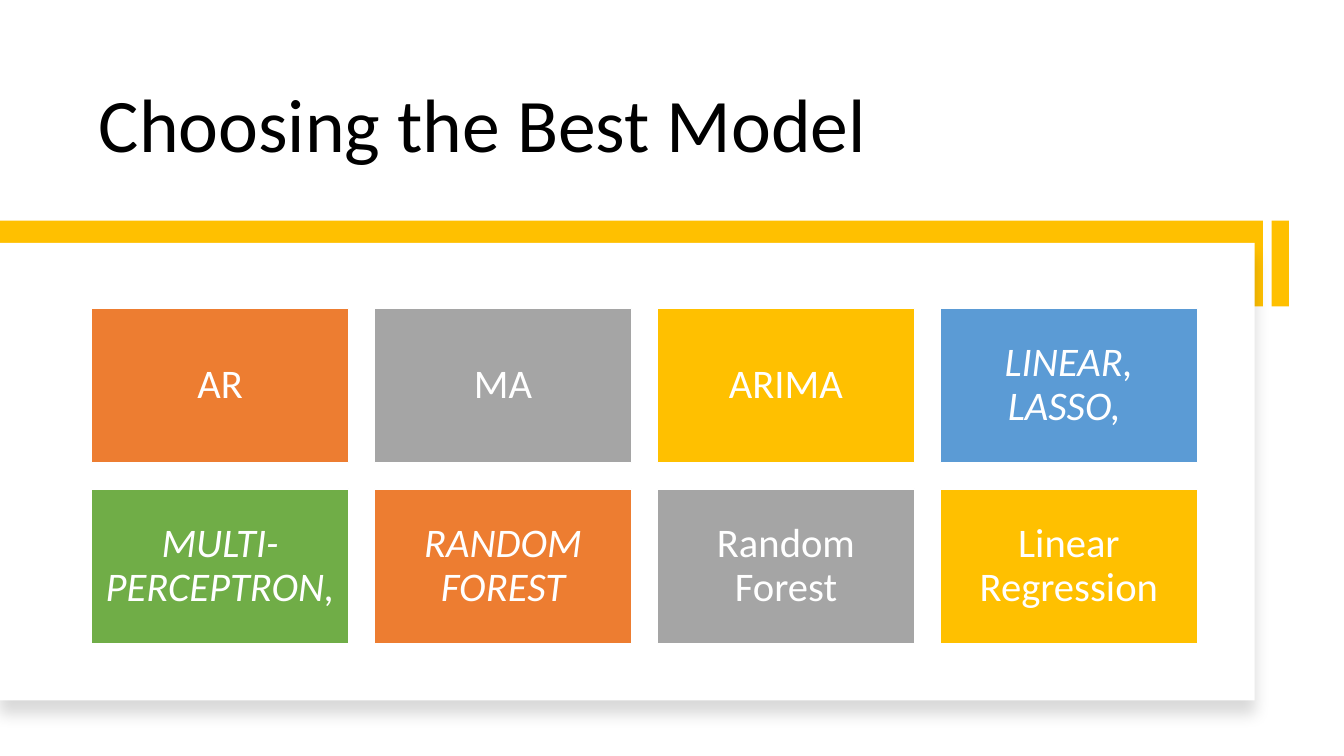
from lxml import etree
from pptx import Presentation
from pptx import util as u
from pptx.dml.color import RGBColor
from pptx.enum import shapes, text
from pptx.oxml import ns

BLACK = RGBColor(0x00, 0x00, 0x00)
WHITE = RGBColor(0xFF, 0xFF, 0xFF)
ORANGE = RGBColor(0xED, 0x7D, 0x31)
GRAY = RGBColor(0xA5, 0xA5, 0xA5)
GOLD = RGBColor(0xFF, 0xC0, 0x00)
BLUE = RGBColor(0x5B, 0x9B, 0xD5)
GREEN = RGBColor(0x70, 0xAD, 0x47)

COLUMNS = 4
TILE_LEFT, TILE_TOP = 2.31, 7.77
TILE_WIDTH, TILE_HEIGHT = 6.48, 3.89
COLUMN_STEP, ROW_STEP = 7.13, 4.55

# Label, fill, italic
MODELS = [
    ("AR", ORANGE, False),
    ("MA", GRAY, False),
    ("ARIMA", GOLD, False),
    ("LINEAR, LASSO, ", BLUE, True),
    ("MULTI-PERCEPTRON,", GREEN, True),
    ("RANDOM FOREST", ORANGE, True),
    ("Random Forest", GRAY, False),
    ("Linear Regression", GOLD, False),
]


class ModelSlide:
    font_name = "Calibri"
    line_spacing = 0.9

    def __init__(self, deck):
        self.slide = deck.slides.add_slide(deck.slide_layouts[6])

    def label(self, frame, words, frame_format, font_format, color, align):
        for name, value in {"word_wrap": True, **frame_format}.items():
            setattr(frame, name, value)
        paragraph = frame.paragraphs[0]
        paragraph.alignment = align
        paragraph.line_spacing = self.line_spacing
        run = paragraph.add_run()
        run.text = words
        for name, value in {"name": self.font_name, **font_format}.items():
            setattr(run.font, name, value)
        run.font.color.rgb = color

    def title(self, words, *box):
        heading = self.slide.shapes.add_textbox(*map(u.Cm, box))
        self.label(heading.text_frame, words,
                   {"vertical_anchor": text.MSO_ANCHOR.BOTTOM},
                   {"size": u.Pt(54)}, BLACK, text.PP_ALIGN.LEFT)

    def block(self, fill, *box):
        rectangle = self.slide.shapes.add_shape(
            shapes.MSO_SHAPE.RECTANGLE, *map(u.Cm, box))
        rectangle.shadow.inherit = False
        rectangle.fill.solid()
        rectangle.fill.fore_color.rgb = fill
        rectangle.line.fill.background()
        return rectangle

    def panel(self, *box):
        card = self.block(WHITE, *box)
        effects = card.element.spPr.find(ns.qn("a:effectLst"))
        shadow = etree.SubElement(
            effects, ns.qn("a:outerShdw"), blurRad=str(u.Pt(11)),
            dist=str(u.Pt(10)), dir="5400000", algn="t", rotWithShape="0")
        tint = etree.SubElement(shadow, ns.qn("a:srgbClr"), val=str(BLACK))
        etree.SubElement(tint, ns.qn("a:alpha"), val="15000")

    def tile(self, words, fill, italic, left, top):
        model = self.block(fill, left, top, TILE_WIDTH, TILE_HEIGHT)
        model.line.color.rgb = WHITE
        model.line.width = u.Pt(1)
        inset = u.Cm(0.3)
        frame_format = {f"margin_{side}": inset
                        for side in ("left", "right", "top", "bottom")}
        frame_format["vertical_anchor"] = text.MSO_ANCHOR.MIDDLE
        self.label(model.text_frame, words, frame_format,
                   {"size": u.Pt(29), "italic": italic},
                   WHITE, text.PP_ALIGN.CENTER)


def main():
    deck = Presentation()
    deck.slide_width, deck.slide_height = u.Cm(33.87), u.Cm(19.05)
    page = ModelSlide(deck)

    # Title
    page.title("Choosing the Best Model", 2.24, 1.07, 25.65, 3.3)

    # Gold accents behind the white panel
    page.block(GOLD, 32.05, 5.56, 0.43, 2.16)
    page.block(GOLD, 0, 5.56, 31.83, 2.16)
    page.panel(0, 6.12, 31.62, 11.53)

    # Grid of models
    for index, (words, fill, italic) in enumerate(MODELS):
        row, column = divmod(index, COLUMNS)
        page.tile(words, fill, italic, TILE_LEFT + column * COLUMN_STEP,
                  TILE_TOP + row * ROW_STEP)

    deck.save("out.pptx")


if __name__ == "__main__":
    main()
